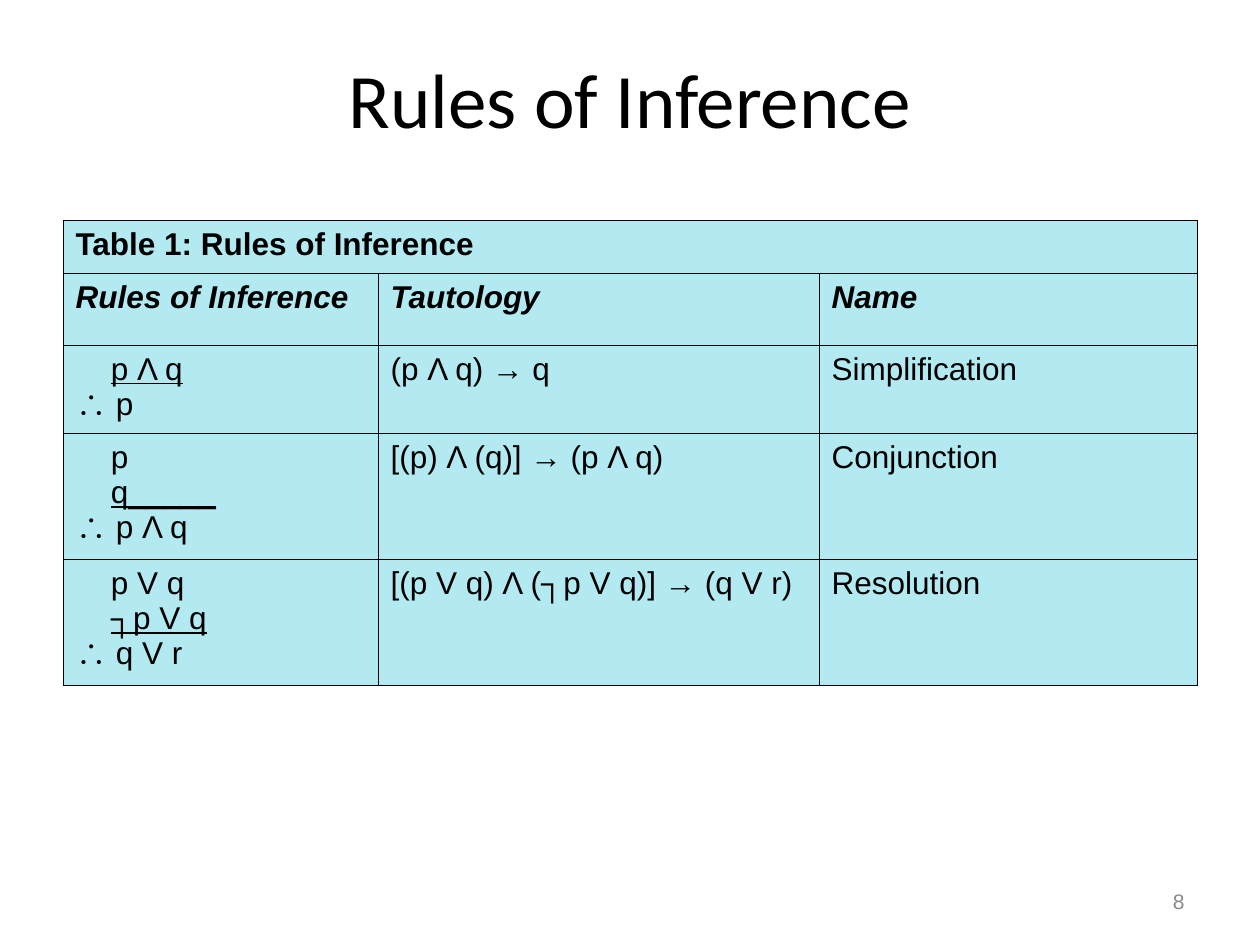
from lxml import etree
from pptx import Presentation
from pptx.dml.color import RGBColor
from pptx.enum import text
from pptx.oxml import ns
from pptx.util import Pt

EMU_PER_PX = 9144
RULES = [
    (["p Λ q"], "p", "(p Λ q) → q", "Simplification"),
    (["p", "q_____"], "p Λ q", "[(p) Λ (q)] → (p Λ q)", "Conjunction"),
    (["p V q", "┐p V q"], "q V r", "[(p V q) Λ (┐p V q)] → (q V r)", "Resolution"),
]


def px(length):
    return length * EMU_PER_PX


def colour(value):
    return RGBColor.from_string(value)


class Slide:
    """Holds the style and the current slide, and adds each kind of element."""

    ink, grey, fill = "000000", "898989", "B3EAF2"
    heading_font, body_font = "Calibri", "Arial"
    indent, border = 28, Pt(0.45)

    def __init__(self, deck):
        self.page = deck.slides.add_slide(deck.slide_layouts[5])

    def style_runs(self, paragraph, font, size, ink, bold=False, italic=False):
        for span in paragraph.runs:
            span.font.name, span.font.size = font, Pt(size)
            span.font.color.rgb = colour(ink)
            span.font.bold, span.font.italic = bold, italic

    def fill_box(self, box, wording, align, font, size, ink):
        frame = box.text_frame
        frame.text = wording
        frame.word_wrap = True
        frame.vertical_anchor = text.MSO_ANCHOR.MIDDLE
        frame.paragraphs[0].alignment = align
        self.style_runs(frame.paragraphs[0], font, size, ink)

    def title(self, wording, *bounds):
        box = self.page.shapes.title
        box.left, box.top, box.width, box.height = map(px, bounds)
        self.fill_box(box, wording, text.PP_ALIGN.CENTER, self.heading_font, 44, self.ink)

    def number(self, wording, *bounds):
        box = self.page.shapes.add_textbox(*map(px, bounds))
        self.fill_box(box, wording, text.PP_ALIGN.RIGHT, self.body_font, 12, self.grey)

    def table(self, left, top, widths, heights):
        bounds = left, top, sum(widths), sum(heights)
        grid = self.page.shapes.add_table(len(heights), len(widths), *map(px, bounds)).table
        for column, width in zip(grid.columns, widths):
            column.width = px(width)
        for row, height in zip(grid.rows, heights):
            row.height = px(height)
        for cell in grid.iter_cells():
            self.outline(cell)
            cell.fill.solid()
            cell.fill.fore_color.rgb = colour(self.fill)
        return grid

    def outline(self, cell):
        properties = cell._tc.get_or_add_tcPr()
        for side in ("a:lnL", "a:lnR", "a:lnT", "a:lnB"):
            line = etree.SubElement(properties, ns.qn(side), w=str(self.border))
            paint = etree.SubElement(line, ns.qn("a:solidFill"))
            etree.SubElement(paint, ns.qn("a:srgbClr"), val=self.ink)

    def entry(self, cell, wording, **style):
        cell.text_frame.text = wording
        for paragraph in cell.text_frame.paragraphs:
            self.style_runs(paragraph, self.body_font, 18, self.ink, **style)

    def argument(self, cell, premises, conclusion):
        self.entry(cell, "\n".join([*premises, f"∴ {conclusion}"]))
        lines = cell.text_frame.paragraphs[:-1]
        for paragraph in lines:
            paragraph._p.get_or_add_pPr().set("marL", str(px(self.indent)))
        lines[-1].runs[0].font.underline = True


def main():
    deck = Presentation()
    deck.slide_width, deck.slide_height = px(1000), px(750)
    slide = Slide(deck)
    slide.title("Rules of Inference", 50, 30, 900, 95)

    grid = slide.table(50, 175, [250, 350, 300], [42, 57, 70, 100, 100])
    grid.cell(0, 0).merge(grid.cell(0, 2))
    slide.entry(grid.cell(0, 0), "Table 1: Rules of Inference", bold=True)
    for column, heading in enumerate(["Rules of Inference", "Tautology", "Name"]):
        slide.entry(grid.cell(1, column), heading, bold=True, italic=True)
    for row, (premises, conclusion, tautology, name) in enumerate(RULES, start=2):
        slide.argument(grid.cell(row, 0), premises, conclusion)
        slide.entry(grid.cell(row, 1), tautology)
        slide.entry(grid.cell(row, 2), name)

    slide.number("8", 717, 695, 233, 40)
    deck.save("out.pptx")


if __name__ == "__main__":
    main()
